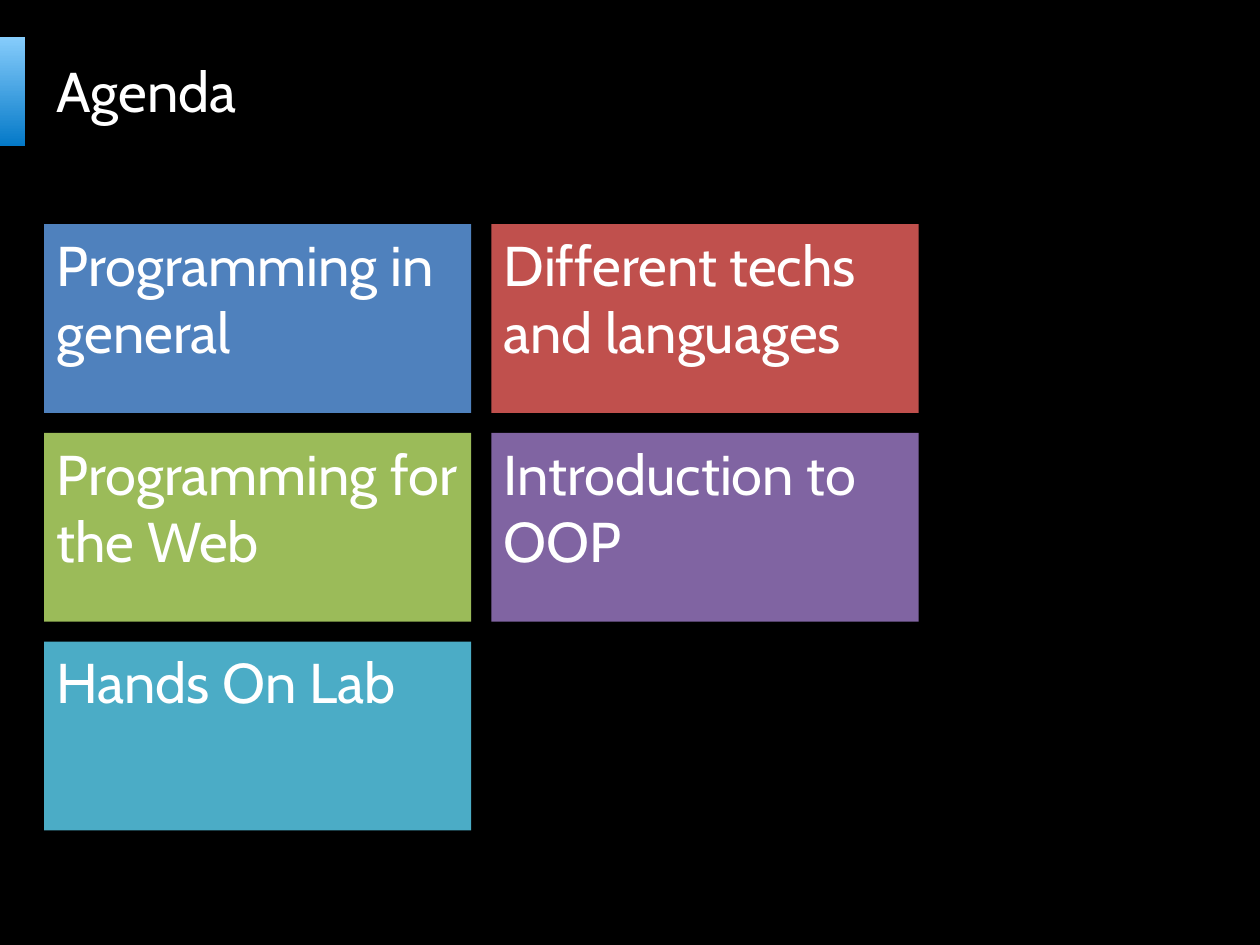
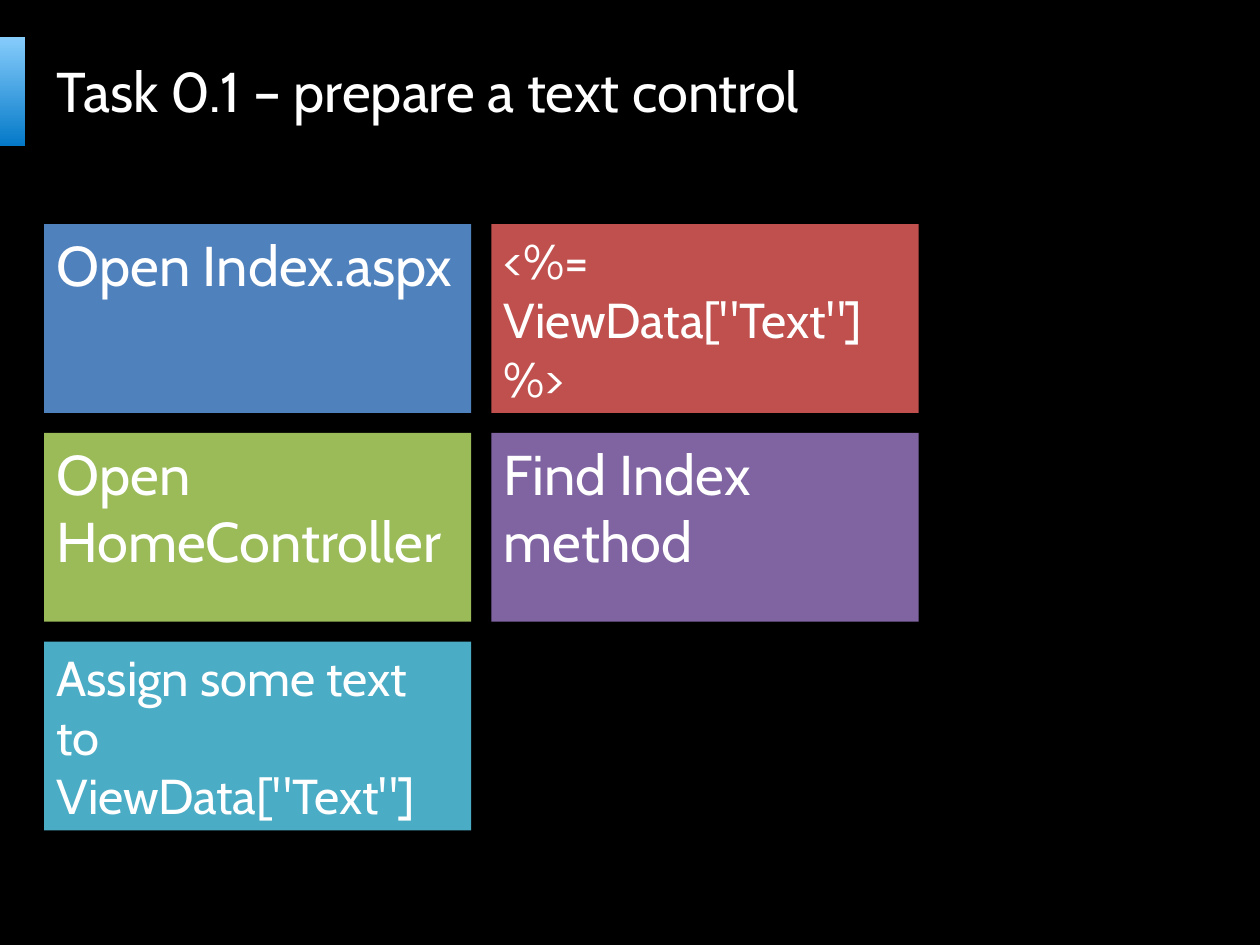
import pptx
import pptx.util
import pptx.dml.color
import pptx.enum.shapes
import pptx.enum.text
import lxml.etree
import pptx.oxml.ns

WIDTH, HEIGHT = 10, 7.5
FONT = "Cabin"
BACKGROUND, TEXT = "000000", "FFFFFF"
BAND_TOP, BAND_BOTTOM = "87CDFC", "0479C8"
TILE_COLORS = ["4F81BD", "C0504D", "9BBB59", "8064A2", "4BACC6"]

# Boxes are left, top, width, height in inches.
BAND_BOX = (0, 0.29, 0.2, 0.87)
TITLE_BOX = (0.35, 0.29, 7.09, 0.85)
GRID_BOX = (0.35, 1.78, 6.94, 4.81)
COLUMNS, ROWS, GAP = 2, 3, 0.16

SLIDES = [
    ("Agenda", [
        ("Programming in general", 32),
        ("Different techs and languages", 32),
        ("Programming for the Web", 32),
        ("Introduction to OOP", 32),
        ("Hands On Lab", 32),
    ]),
    ("Task 0.1 – prepare a text control", [
        ("Open Index.aspx", 32),
        ('<%= ViewData["Text"] %>', 28),
        ("Open HomeController", 32),
        ("Find Index method", 32),
        ('Assign some text to ViewData["Text"]', 28),
    ]),
]


def rgb(color):
    return pptx.dml.color.RGBColor.from_string(color)


def place(sp, box):
    sp.left, sp.top, sp.width, sp.height = map(pptx.util.Inches, box)


def write(sp, text, size=32, color=TEXT, anchor="TOP", before=0):
    """Fill a shape with one left-aligned paragraph; before is a percentage."""
    tf = sp.text_frame
    tf.word_wrap = True
    tf.auto_size = pptx.enum.text.MSO_AUTO_SIZE.NONE
    tf.vertical_anchor = pptx.enum.text.MSO_ANCHOR[anchor]
    p = tf.paragraphs[0]
    p.alignment = pptx.enum.text.PP_ALIGN.LEFT
    if before:
        qn = pptx.oxml.ns.qn
        spacing = lxml.etree.SubElement(p._p.get_or_add_pPr(), qn("a:spcBef"))
        lxml.etree.SubElement(spacing, qn("a:spcPct"), val=str(before * 1000))
    r = p.add_run()
    r.text = text
    r.font.name = FONT
    r.font.size = pptx.util.Pt(size)
    r.font.color.rgb = rgb(color)


def add_rectangle(slide, box):
    sp = slide.shapes.add_shape(pptx.enum.shapes.MSO_SHAPE.RECTANGLE,
                                *map(pptx.util.Inches, box))
    sp.shadow.inherit = False
    sp.line.fill.background()
    return sp


def add_band(slide, box):
    fill = add_rectangle(slide, box).fill
    fill.gradient()
    fill.gradient_angle = 270
    for stop, color in zip(fill.gradient_stops, (BAND_TOP, BAND_BOTTOM)):
        stop.color.rgb = rgb(color)


def add_title(slide, box, text):
    title = slide.shapes.title
    place(title, box)
    write(title, text, anchor="MIDDLE")


def add_tiles(slide, box, tiles):
    """Lay the tiles out row by row on an evenly spaced grid."""
    left, top, width, height = box
    tile_width = (width - GAP * (COLUMNS - 1)) / COLUMNS
    tile_height = (height - GAP * (ROWS - 1)) / ROWS
    for i, ((text, size), color) in enumerate(zip(tiles, TILE_COLORS)):
        row, column = divmod(i, COLUMNS)
        sp = add_rectangle(slide, (left + column * (tile_width + GAP),
                                   top + row * (tile_height + GAP),
                                   tile_width, tile_height))
        sp.fill.solid()
        sp.fill.fore_color.rgb = rgb(color)
        write(sp, text, size=size, before=20)


def add_tile_slide(prs, title, tiles):
    slide = prs.slides.add_slide(prs.slide_layouts.get_by_name("Title Only"))
    slide.background.fill.solid()
    slide.background.fill.fore_color.rgb = rgb(BACKGROUND)
    add_band(slide, BAND_BOX)
    add_title(slide, TITLE_BOX, title)
    add_tiles(slide, GRID_BOX, tiles)


def main():
    prs = pptx.Presentation()
    prs.slide_width = pptx.util.Inches(WIDTH)
    prs.slide_height = pptx.util.Inches(HEIGHT)
    for title, tiles in SLIDES:
        add_tile_slide(prs, title, tiles)
    prs.save("out.pptx")


if __name__ == "__main__":
    main()
